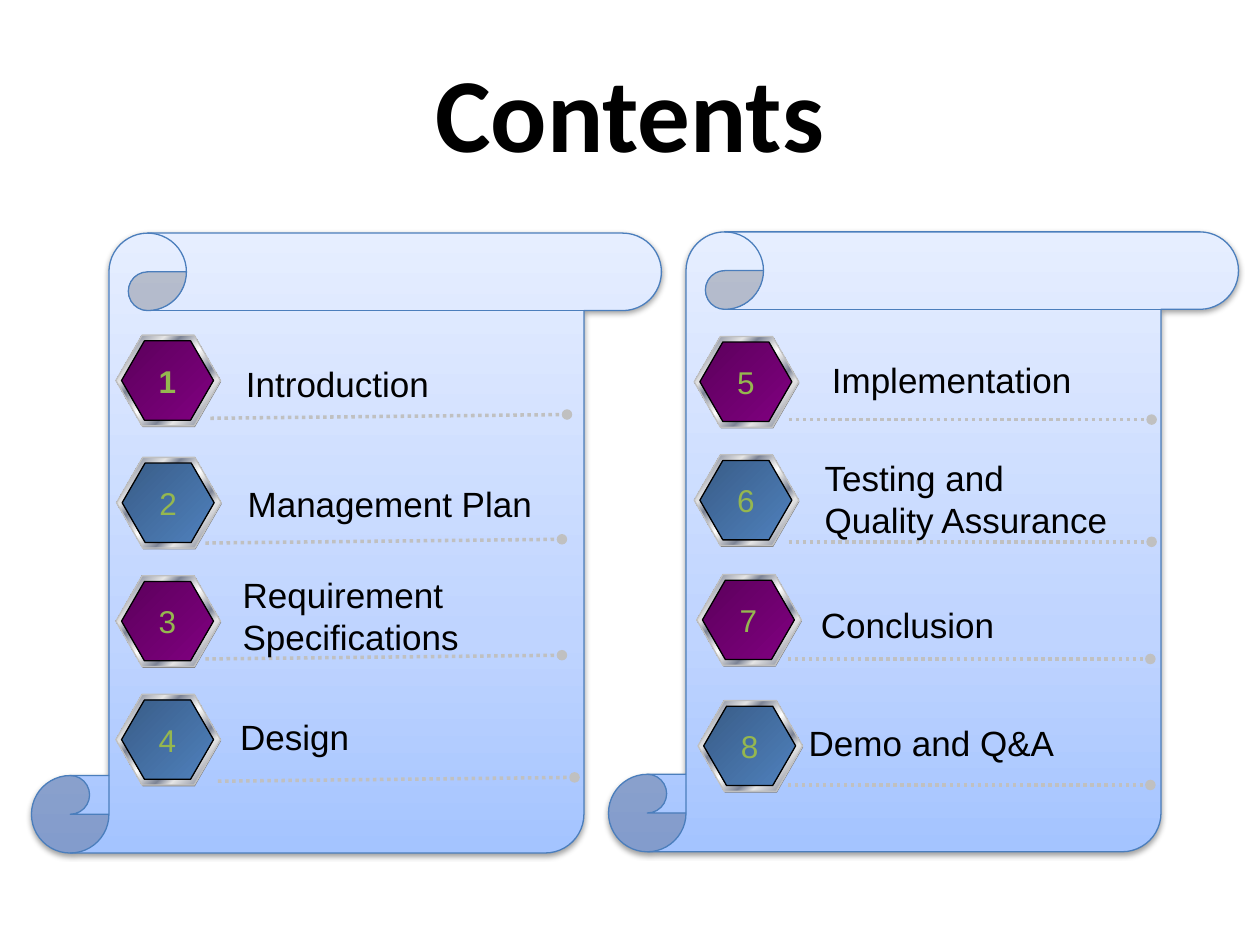
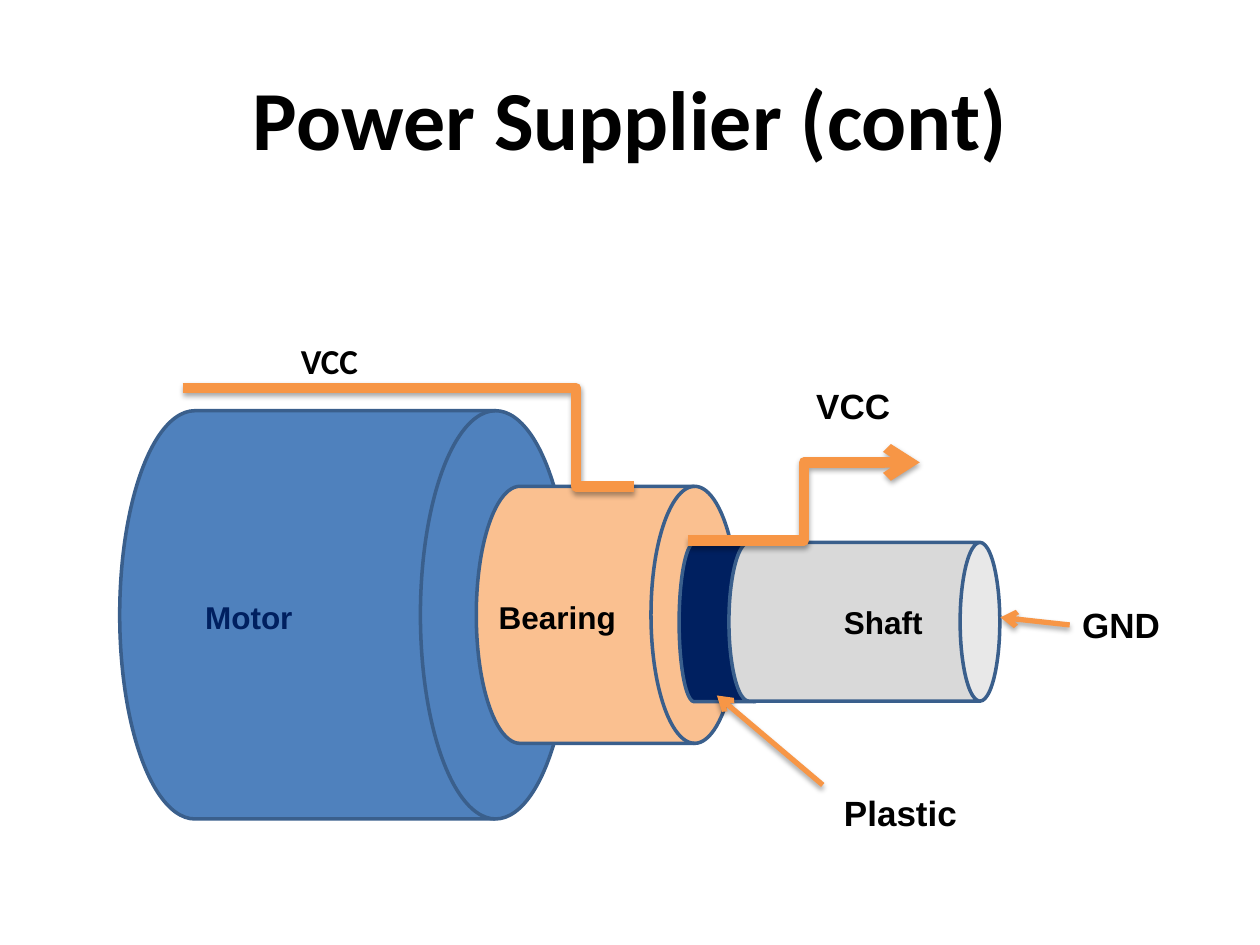
from collections import namedtuple

from lxml.etree import SubElement
from pptx import Presentation
from pptx.dml.color import RGBColor
from pptx.enum.dml import MSO_LINE_DASH_STYLE as Dash
from pptx.enum.shapes import MSO_CONNECTOR_TYPE as Link
from pptx.enum.shapes import MSO_SHAPE as Preset
from pptx.enum.text import MSO_VERTICAL_ANCHOR as Anchor
from pptx.enum.text import PP_PARAGRAPH_ALIGNMENT as Align
from pptx.oxml.ns import qn
from pptx.util import Inches, Pt

COLORS = {
    "ink": "000000",
    "navy": "002060",
    "blue": "4F81BD",
    "deep_blue": "395C87",
    "drum_edge": "3A5F8C",
    "scroll_edge": "4B7EBC",
    "purple": "800080",
    "deep_purple": "5C005C",
    "number": "95B74F",
    "gray": "808080",
    "silver": "C0C0C0",
    "peach": "FAC090",
    "light_gray": "D9D9D9",
    "wire": "F79646",
}
SCROLL_STOPS = [(0, "A4C4FF"), (35, "BFD4FF"), (100, "E6EEFF")]
METAL_STOPS = [
    (position, {"light": "E6E6E6", "dark": "7D8496", "white": "FFFFFF"}[tone])
    for position, tone in [
        (0, "light"), (8, "dark"), (26, "light"), (34, "dark"), (46, "light"), (50, "white"),
        (54, "light"), (66, "dark"), (74, "light"), (93, "dark"), (100, "light"),
    ]
]
PURPLE_STOPS = [(0, COLORS["deep_purple"]), (100, COLORS["purple"])]
BLUE_STOPS = [(0, COLORS["deep_blue"]), (100, COLORS["blue"])]

SLIDE_WIDTH, SLIDE_HEIGHT = Inches(10), Inches(7.5)
COLUMN, ROW = SLIDE_WIDTH / 100, SLIDE_HEIGHT / 75

Box = namedtuple("Box", "left top width height")
Entry = namedtuple("Entry", "label badge text rule")

LEFT_ENTRIES = [
    Entry("Introduction", (6.7, 8.1), (16.04, 9.8), (14.2, 14.7)),
    Entry("Management Plan", (6.75, 17.8), (16.17, 19.3), (13.8, 24.6)),
    Entry("Requirement\nSpecifications", (6.7, 27.2), (15.77, 26.5), (13.8, 33.8)),
    Entry("Design", (6.7, 36.6), (15.57, 37.8), (14.8, 43.5)),
]
RIGHT_ENTRIES = [
    Entry("Implementation", (6.8, 8.3), (16.74, 9.6), (14.3, 14.9)),
    Entry("Testing and\vQuality Assurance", (6.8, 17.7), (16.17, 17.3), (14.3, 24.6)),
    Entry("Conclusion", (7, 27.2), (15.87, 29), (14.2, 33.9)),
    Entry("Demo and Q&A", (7.1, 37.2), (14.9, 38.4), (14.2, 43.9)),
]


def place(box, left, top, width, height):
    return (
        round((box.left + left) * COLUMN),
        round((box.top + top) * ROW),
        round(width * COLUMN),
        round(height * ROW),
    )


def rgb(name):
    return RGBColor.from_string(COLORS[name])


def write(shape, text, size=20, color="ink", bold=False, font="Arial",
          align=Align.LEFT, anchor=Anchor.TOP, wrap=True):
    frame = shape.text_frame
    frame.text = text
    frame.word_wrap = wrap
    frame.vertical_anchor = anchor
    for paragraph in frame.paragraphs:
        paragraph.alignment = align
        paragraph.font.size = Pt(size)
        paragraph.font.bold = bold
        paragraph.font.name = font
        paragraph.font.color.rgb = rgb(color)


def add_label(shapes, box, area, text, **text_format):
    write(shapes.add_textbox(*place(box, *area)), text, **text_format)


def add_title(slide, box, text, size):
    add_label(slide.shapes, box, (0, 0, box.width, box.height), text, size=size,
              bold=True, font="Calibri", align=Align.CENTER, anchor=Anchor.MIDDLE)


def set_effects(shape, shadow=None):
    effects = SubElement(shape._element.spPr, qn("a:effectLst"))
    if shadow:
        alpha, blur, distance = shadow
        outer = SubElement(effects, qn("a:outerShdw"), blurRad=str(Pt(blur)),
                           dist=str(Pt(distance)), dir="5400000", rotWithShape="0")
        tint = SubElement(outer, qn("a:srgbClr"), val=COLORS["ink"])
        SubElement(tint, qn("a:alpha"), val=str(alpha * 1000))


def set_gradient(shape, stops, angle):
    shape.fill.gradient()
    shape.fill.gradient_angle = 360 - angle
    stop_list = shape._element.spPr.find(qn("a:gradFill")).find(qn("a:gsLst"))
    stop_list.clear()
    for position, color in stops:
        stop = SubElement(stop_list, qn("a:gs"), pos=str(position * 1000))
        SubElement(stop, qn("a:srgbClr"), val=color)


def add_preset(shapes, preset, box, area, fill=None, stops=None, angle=45,
               line=None, line_width=0.75, adjustments=(), shadow=None):
    shape = shapes.add_shape(preset, *place(box, *area))
    for index, value in enumerate(adjustments):
        shape.adjustments[index] = value
    if stops:
        set_gradient(shape, stops, angle)
    else:
        shape.fill.solid()
        shape.fill.fore_color.rgb = rgb(fill)
    if line:
        shape.line.color.rgb = rgb(line)
        shape.line.width = Pt(line_width)
    else:
        shape.line.fill.background()
    set_effects(shape, shadow)
    return shape


def add_link(shapes, box, start, end, color, width, kind=Link.STRAIGHT,
             dash=None, tail=None, bend=None, shadow=None):
    ends = place(box, *start, 0, 0)[:2] + place(box, *end, 0, 0)[:2]
    connector = shapes.add_connector(kind, *ends)
    connector.line.color.rgb = rgb(color)
    connector.line.width = Pt(width)
    if dash:
        connector.line.dash_style = dash
    properties = connector._element.spPr
    if tail:
        SubElement(properties.find(qn("a:ln")), qn("a:tailEnd"), type=tail)
    if bend:
        guides = properties.find(qn("a:prstGeom")).find(qn("a:avLst"))
        SubElement(guides, qn("a:gd"), name="adj1", fmla=f"val {round(bend * 100000)}")
    set_effects(connector, shadow)


def add_badge(slide, box, number):
    shapes = slide.shapes.add_group_shape().shapes
    hexagon = {"adjustments": (0.289, 1.155)}
    add_preset(shapes, Preset.HEXAGON, box, (0.05, 0.1, box.width, box.height),
               fill="gray", **hexagon)
    add_preset(shapes, Preset.HEXAGON, box, (0, 0, box.width, box.height),
               stops=METAL_STOPS, line="silver", **hexagon)
    face = add_preset(shapes, Preset.HEXAGON, box, (0.45, 0.45, 7.3, 6.3),
                      stops=PURPLE_STOPS if number % 2 else BLUE_STOPS,
                      line="ink", **hexagon)
    write(face, str(number), size=18, color="number", bold=number == 1,
          align=Align.CENTER, anchor=Anchor.MIDDLE, wrap=False)


def add_scroll(slide, box, entries, first_number, rule_run, rule_rise):
    shapes = slide.shapes
    add_preset(shapes, Preset.VERTICAL_SCROLL, box, (0, 0, box.width, box.height),
               stops=SCROLL_STOPS, angle=270, line="scroll_edge", shadow=(38, 3.1, 1.6))
    for number, entry in enumerate(entries, first_number):
        left, top = entry.badge
        add_badge(slide, Box(box.left + left, box.top + top, 8.3, 7.2), number)
        rule_left, rule_top = entry.rule
        add_link(shapes, box, entry.rule, (rule_left + rule_run, rule_top - rule_rise),
                 "silver", 2, dash=Dash.ROUND_DOT, tail="oval")
        add_label(shapes, box, (*entry.text, 28.7, 8.4), entry.label)


def add_motor_diagram(slide, box):
    shapes = slide.shapes
    edge = {"line": "drum_edge", "line_width": 2}
    wire = {"color": "wire", "width": 6, "kind": Link.ELBOW, "shadow": (35, 3.1, 1.8)}
    pointer = {"color": "wire", "width": 3, "tail": "arrow", "shadow": (35, 3.1, 1.8)}
    drum = Preset.FLOWCHART_DIRECT_ACCESS_STORAGE

    add_label(shapes, box, (5, 0, 23.3, 8.2), "VCC", bold=True, font="Calibri",
              align=Align.CENTER, anchor=Anchor.MIDDLE)
    add_preset(shapes, drum, box, (0, 8.1, 35.8, 32.4), fill="blue", **edge)
    add_preset(shapes, drum, box, (28.3, 14.1, 20.8, 20.4), fill="peach", **edge)
    add_link(shapes, box, (5, 6.3), (40.8, 14.1), bend=0.872, **wire)
    add_preset(shapes, drum, box, (44.4, 18.6, 7.2, 12.6), fill="navy", **edge)
    shaft = add_preset(shapes, Preset.CAN, box, (52.8, 14.1, 12.6, 21.5),
                       fill="light_gray", **edge)
    shaft.rotation = 90
    add_link(shapes, box, (45.1, 18.4), (63.5, 12.2), bend=0.5, tail="arrow", **wire)
    add_link(shapes, box, (55.8, 37.8), (47.4, 30.7), **pointer)
    add_link(shapes, box, (75.4, 25.1), (69.9, 24.5), **pointer)

    for text, left, top, size, color in [
        ("Motor", 5.8, 22.5, 18, "navy"),
        ("Bearing", 29.1, 22.5, 18, "ink"),
        ("Shaft", 56.5, 22.9, 18, "ink"),
        ("VCC", 54.3, 5.5, 20, "ink"),
        ("Plastic", 56.5, 37.8, 20, "ink"),
        ("GND", 75.4, 22.9, 20, "ink"),
    ]:
        add_label(shapes, box, (left, top, 11.7, 4.4), text,
                  size=size, color=color, bold=True)


def build_contents(slide):
    add_title(slide, Box(5, 4.2, 90, 9.2), "Contents", 60)
    add_scroll(slide, Box(2.5, 18.5, 50, 49.2), LEFT_ENTRIES, 1, 28.3, 0.3)
    add_scroll(slide, Box(48.3, 18.4, 50, 49.2), RIGHT_ENTRIES, 5, 28.8, 0)


def build_power_supplier(slide):
    add_title(slide, Box(5, 3, 90, 12.5), "Power Supplier (cont)", 48)
    add_motor_diagram(slide, Box(9.5, 24.5, 87, 42))


def main():
    presentation = Presentation()
    presentation.slide_width, presentation.slide_height = SLIDE_WIDTH, SLIDE_HEIGHT
    for build in (build_contents, build_power_supplier):
        build(presentation.slides.add_slide(presentation.slide_layouts[6]))
    presentation.save("out.pptx")


if __name__ == "__main__":
    main()
